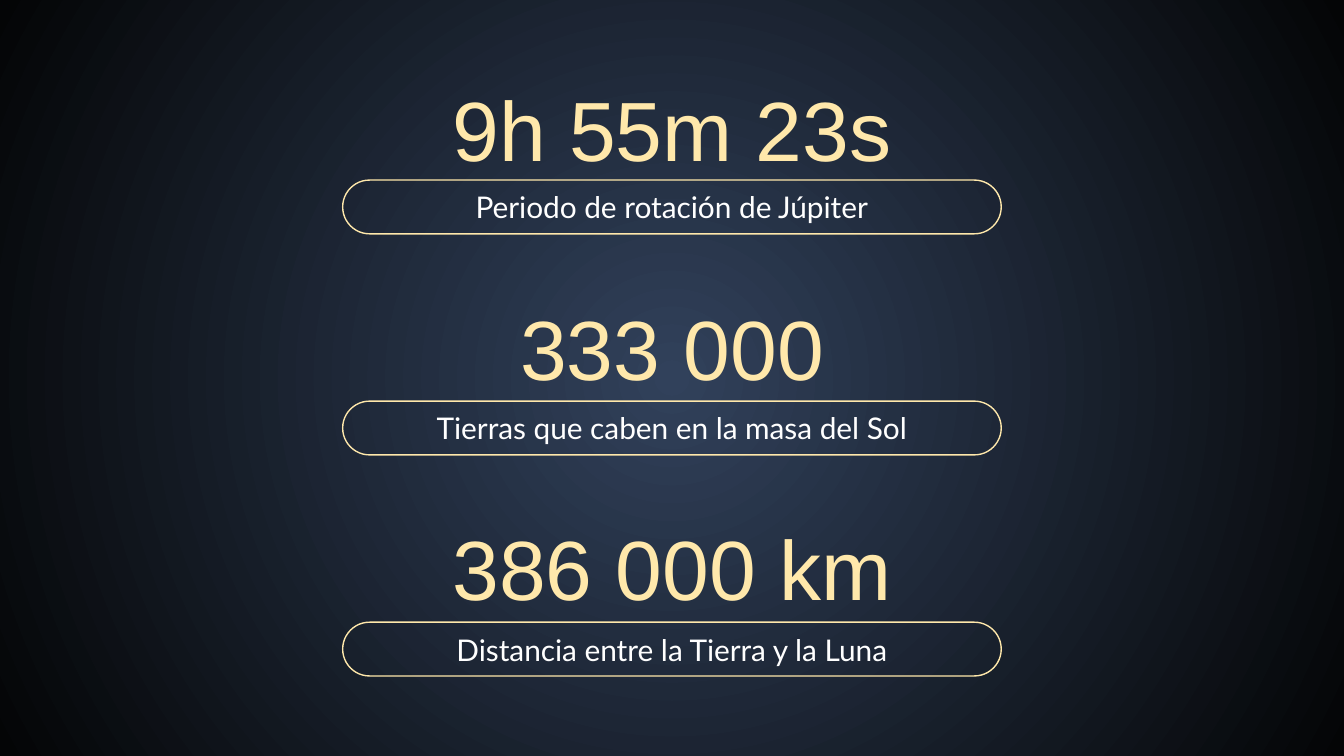
from lxml import etree
from pptx import Presentation
from pptx import util as u
from pptx.dml.color import RGBColor
from pptx.enum import shapes, text
from pptx.oxml.ns import qn

FACTS = [
    ("9h 55m 23s", "Periodo de rotación de Júpiter"),
    ("333 000", "Tierras que caben en la masa del Sol"),
    ("386 000 km", "Distancia entre la Tierra y la Luna"),
]
COLORS = {"center": "31415B", "edge": "040506", "gold": "FFE8AB", "white": "FFFFFF"}
WIDTH = 10
HEIGHT = WIDTH * 9 / 16
FIGURE_TOP, FIGURE_LAST, FIGURE_HEIGHT = 0.6, 3.87, 0.7
CAPTION_TOP, CAPTION_LAST, CAPTION_HEIGHT = 1.34, 4.63, 0.4
TEXT_WIDTH, PILL_WIDTH = 4.6, 4.9


def color(name):
    return RGBColor.from_string(COLORS[name])


def spread(first, last, row):
    return first + (last - first) * row / (len(FACTS) - 1)


def centered(top, width, height):
    return [u.Inches(v) for v in ((WIDTH - width) / 2, top, width, height)]


def paint_background(page):
    fill = page.background.fill
    fill.gradient()
    for stop, position, name in zip(fill.gradient_stops, (0, 1), ("center", "edge")):
        stop.position = position
        stop.color.rgb = color(name)
    gradient = page.element.find(".//" + qn("a:gradFill"))
    gradient.remove(gradient.find(qn("a:lin")))
    circle = etree.SubElement(gradient, qn("a:path"), {"path": "circle"})
    sides = dict.fromkeys("ltrb", "50000")
    etree.SubElement(circle, qn("a:fillToRect"), sides)


def add_pill(page, top):
    pill = page.shapes.add_shape(
        shapes.MSO_SHAPE.ROUNDED_RECTANGLE, *centered(top, PILL_WIDTH, CAPTION_HEIGHT))
    pill.adjustments[0] = 0.5
    pill.shadow.inherit = False
    pill.fill.background()
    pill.line.color.rgb = color("gold")
    pill.line.width = u.Pt(0.75)


def add_text(page, words, top, height, font, size, color_name):
    box = page.shapes.add_textbox(*centered(top, TEXT_WIDTH, height))
    frame = box.text_frame
    frame.word_wrap = True
    frame.vertical_anchor = text.MSO_ANCHOR.MIDDLE
    frame.margin_left = frame.margin_right = u.Inches(0.1)
    frame.margin_top = frame.margin_bottom = u.Inches(0.1)
    para = frame.paragraphs[0]
    para.alignment = text.PP_ALIGN.CENTER
    span = para.add_run()
    span.text = words
    span.font.name = font
    span.font.size = u.Pt(size)
    span.font.color.rgb = color(color_name)


def main():
    deck = Presentation()
    deck.slide_width, deck.slide_height = u.Inches(WIDTH), u.Inches(HEIGHT)
    page = deck.slides.add_slide(deck.slide_layouts[6])
    paint_background(page)
    for row, (figure, caption) in enumerate(FACTS):
        figure_top = spread(FIGURE_TOP, FIGURE_LAST, row)
        caption_top = spread(CAPTION_TOP, CAPTION_LAST, row)
        add_pill(page, caption_top)
        add_text(page, figure, figure_top, FIGURE_HEIGHT, "Arial", 45, "gold")
        add_text(page, caption, caption_top, CAPTION_HEIGHT, "Lato", 16, "white")
    deck.save("out.pptx")


if __name__ == "__main__":
    main()
